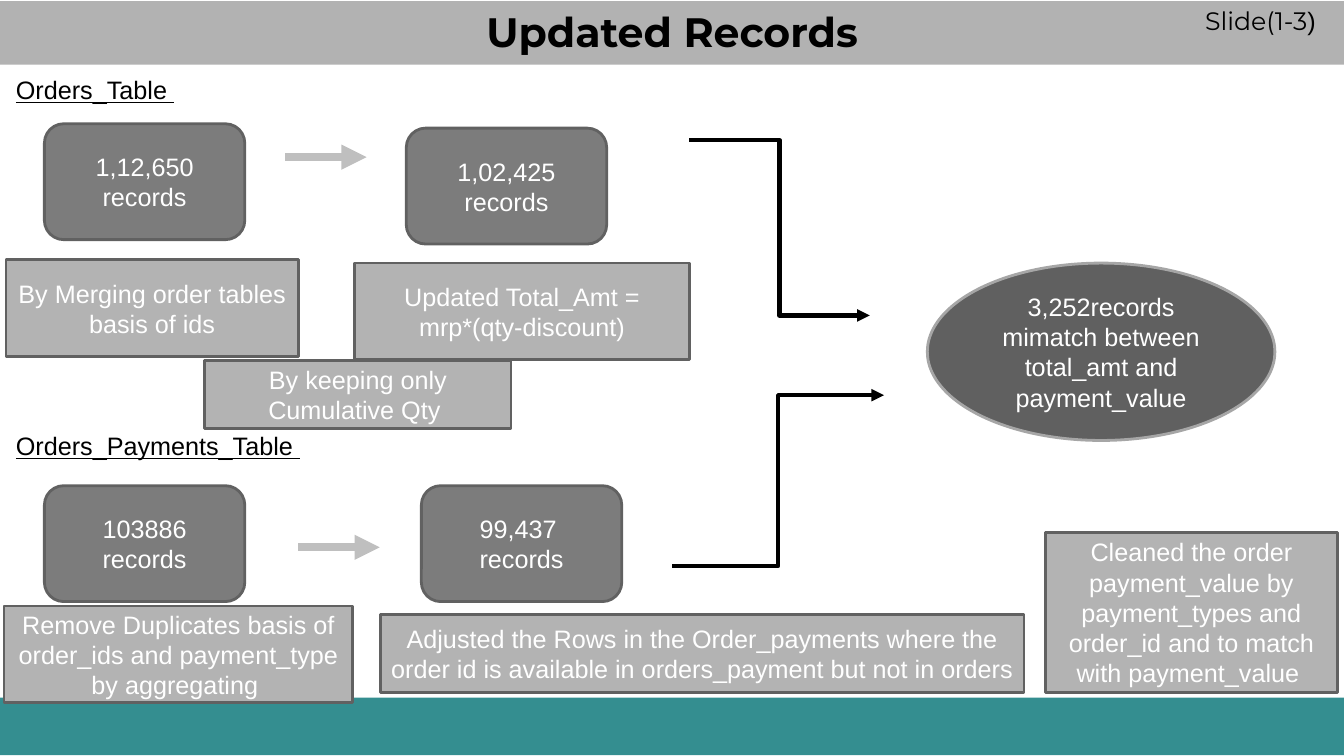
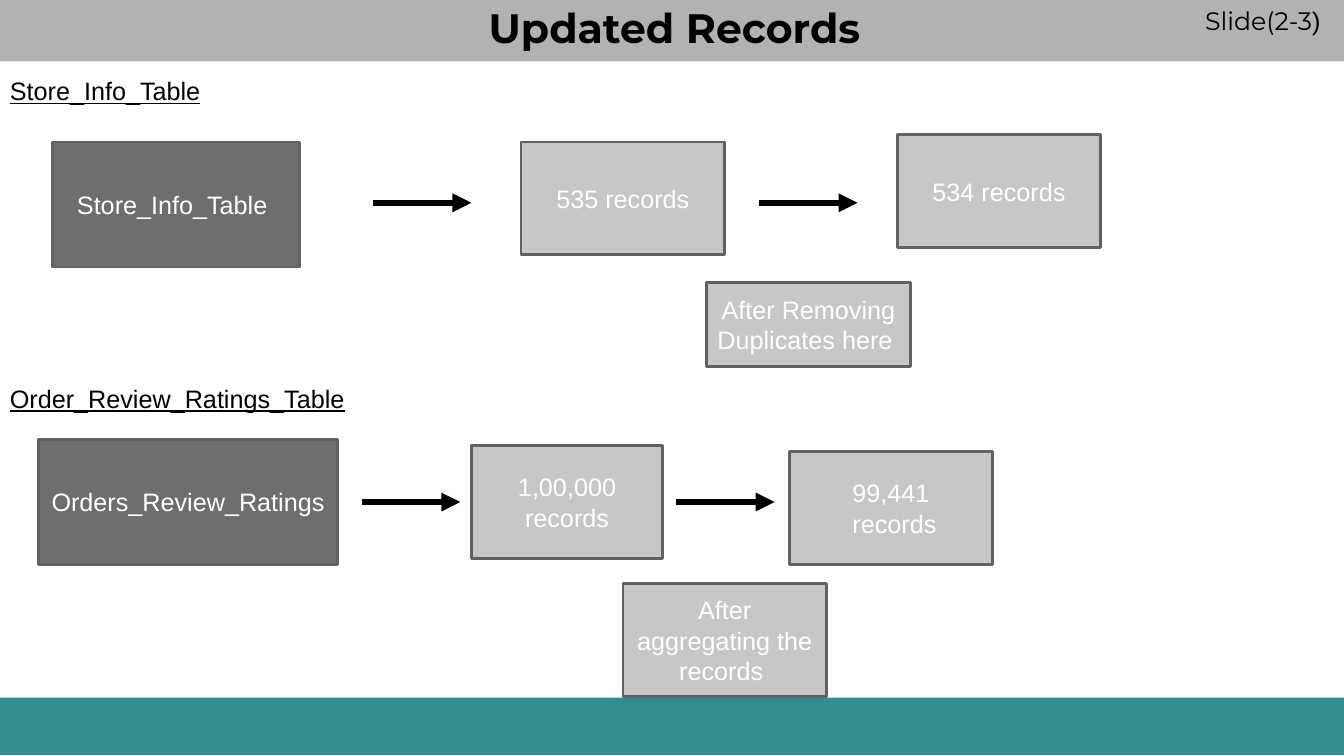
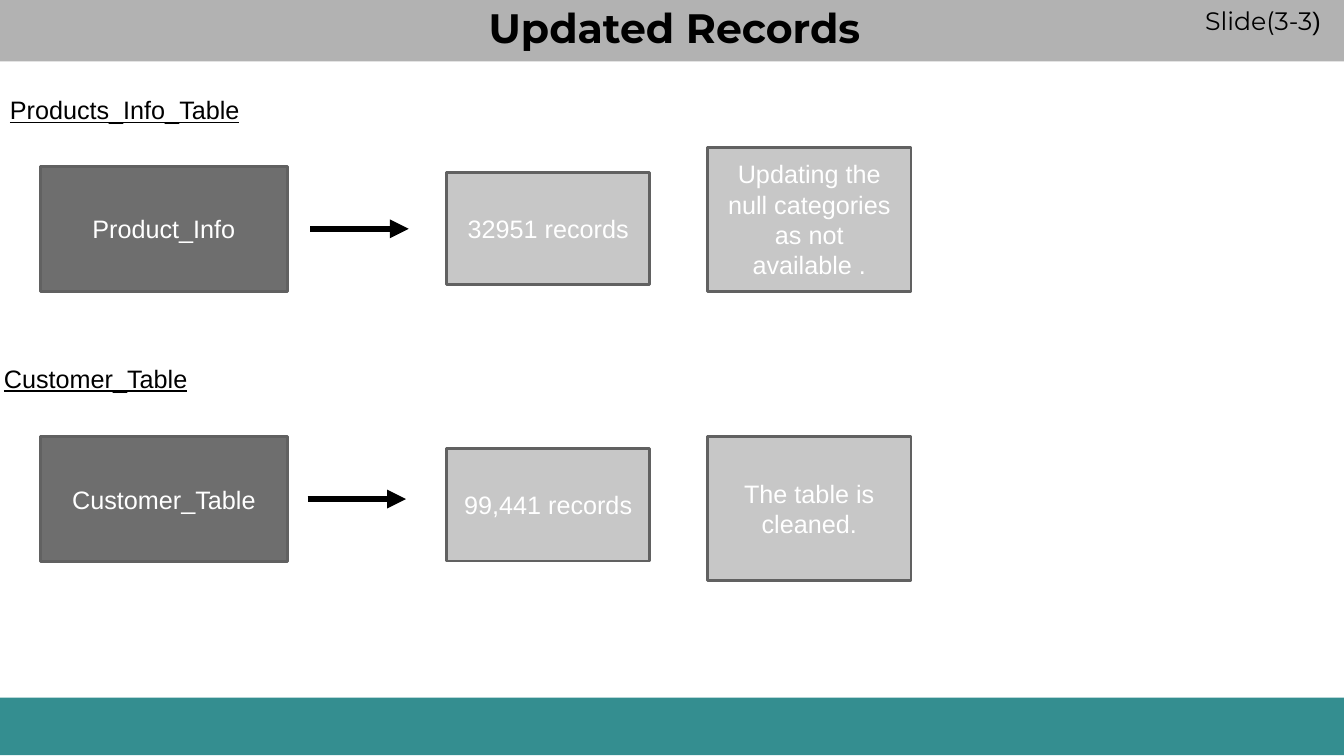
from lxml import etree
from pptx import Presentation
from pptx.dml.color import RGBColor
from pptx.enum.shapes import MSO_CONNECTOR, MSO_SHAPE
from pptx.enum.text import MSO_ANCHOR, PP_ALIGN
from pptx.oxml.ns import qn
from pptx.util import Cm, Pt

COLORS = {
    "band": "B2B2B2", "footer": "348E90", "ink": "000000", "white": "FFFFFF",
    "count": "7C7C7C", "note": "B3B3B3", "result": "606060",
    "source": "6E6E6E", "record": "C7C7C7",
    "edge": "616161", "result_edge": "A6A6A6", "pale_arrow": "BFBFBF",
}
BODY_FONT, TITLE_FONT = "Arial", "Montserrat"
BODY_SIZE, TITLE_SIZE = 18, 29.3
WIDTH, HEIGHT = 33.87, 19.05
COUNT_SIZE = (5.05, 2.92)
SOURCE_SIZE = (6.22, 3.15)
RECORD_SIZE = (5.13, 2.84)
REMARK_SIZE = (5.13, 3.63)
ARROW_LENGTH = 2.48


class RecordsDeck:
    """Holds the shared style and the current page, and draws each kind of element."""

    def __init__(self):
        self.deck = Presentation()
        self.deck.slide_width, self.deck.slide_height = Cm(WIDTH), Cm(HEIGHT)
        self.page = None

    def add_page(self, number, band_top, band_width):
        self.page = self.deck.slides.add_slide(self.deck.slide_layouts[6])
        self.shape(MSO_SHAPE.RECTANGLE, (0, 17.58), (WIDTH, 1.45), "footer")
        band = self.shape(MSO_SHAPE.RECTANGLE, (0, band_top), (band_width, 1.6), "band")
        band.text_frame.vertical_anchor = MSO_ANCHOR.TOP
        para = band.text_frame.paragraphs[0]
        para.alignment = PP_ALIGN.CENTER
        self.span(para, "Updated Records", "ink", TITLE_SIZE, TITLE_FONT, bold=True)
        para = self.text_box((30.12, 0), 3.75)
        self.span(para, f"Slide({number}-3", "ink", font=TITLE_FONT)
        self.span(para, ")", "ink")

    def span(self, para, text, color, size=BODY_SIZE, font=BODY_FONT, bold=False, underline=False):
        span = para.add_run()
        span.text = text
        span.font.name, span.font.size = font, Pt(size)
        span.font.bold, span.font.underline = bold, underline
        span.font.color.rgb = RGBColor.from_string(COLORS[color])

    def shape(self, preset, place, size, fill, edge=None):
        box = self.page.shapes.add_shape(preset, *map(Cm, place + size))
        box.shadow.inherit = False
        box.fill.solid()
        box.fill.fore_color.rgb = RGBColor.from_string(COLORS[fill])
        if edge:
            box.line.color.rgb = RGBColor.from_string(COLORS[edge])
            box.line.width = Pt(2)
        else:
            box.line.fill.background()
        return box

    def box(self, kind, place, size, *lines):
        presets = {"count": MSO_SHAPE.ROUNDED_RECTANGLE, "result": MSO_SHAPE.OVAL}
        edge = "result_edge" if kind == "result" else "edge"
        box = self.shape(presets.get(kind, MSO_SHAPE.RECTANGLE), place, size, kind, edge)
        frame = box.text_frame
        frame.word_wrap = True
        frame.vertical_anchor = MSO_ANCHOR.MIDDLE
        for index, line in enumerate(lines):
            para = frame.add_paragraph() if index else frame.paragraphs[0]
            para.alignment = PP_ALIGN.CENTER
            self.span(para, line, "white")

    def text_box(self, place, width):
        box = self.page.shapes.add_textbox(*map(Cm, place + (width, 1.02)))
        box.text_frame.word_wrap = True
        return box.text_frame.paragraphs[0]

    def heading(self, text, place, width=8.08):
        self.span(self.text_box(place, width), text, "ink", underline=True)

    def connector(self, start, end, color="ink", weight=4.5, kind=MSO_CONNECTOR.STRAIGHT):
        line = self.page.shapes.add_connector(kind, *map(Cm, start + end))
        line.line.color.rgb = RGBColor.from_string(COLORS[color])
        line.line.width = Pt(weight)
        etree.SubElement(line.line._get_or_add_ln(), qn("a:tailEnd"), type="triangle")
        etree.SubElement(line._element.spPr, qn("a:effectLst"))

    def arrow(self, left, top, length=ARROW_LENGTH, **style):
        self.connector((left, top), (left + length, top), **style)


def orders_page(deck):
    deck.add_page(1, 0.03, WIDTH)
    deck.heading("Orders_Table ", (0.15, 1.75))
    deck.heading("Orders_Payments_Table ", (0.15, 10.72), 8.18)
    for place, lines in (
        ((1.12, 3.12), ["1,12,650 records"]),
        ((10.24, 3.23), ["1,02,425", "records"]),
        ((1.12, 12.24), ["103886 records"]),
        ((10.62, 12.24), ["99,437 ", "records"]),
    ):
        deck.box("count", place, COUNT_SIZE, *lines)
    for left, top in ((7.19, 3.96), (7.52, 13.79)):
        deck.arrow(left, top, 2.05, color="pale_arrow", weight=6)
    for place, size, text in (
        ((0.15, 6.55), (7.37, 2.44), "By Merging order tables basis of ids"),
        ((8.94, 6.63), (8.43, 2.44), "Updated Total_Amt = mrp*(qty-discount)"),
        ((5.16, 9.09), (7.72, 1.7), "By keeping only Cumulative Qty "),
        ((0.1, 15.27), (8.79, 2.44),
         "Remove Duplicates basis of order_ids and payment_type by aggregating "),
        ((9.58, 15.49), (16.23, 1.96),
         "Adjusted the Rows in the Order_payments where the order id is available "
         "in orders_payment but not in orders"),
        ((26.34, 13.41), (7.37, 4.04),
         "Cleaned the order payment_value by payment_types and order_id "
         "and to match with payment_value "),
    ):
        deck.box("note", place, size, text)
    for start, end in (((17.37, 3.53), (21.92, 7.95)), ((16.94, 14.27), (22.28, 9.96))):
        deck.connector(start, end, weight=3, kind=MSO_CONNECTOR.ELBOW)
    deck.box("result", (23.37, 6.63), (8.76, 4.47),
             "3,252records mimatch between total_amt and payment_value")


def stores_page(deck):
    deck.add_page(2, -0.05, 33.99)
    deck.heading("Store_Info_Table", (0, 1.78))
    deck.heading("Order_Review_Ratings_Table", (0, 9.53), 9.47)
    deck.box("source", (1.32, 3.58), SOURCE_SIZE, "Store_Info_Table ")
    deck.box("source", (0.97, 11.07), (7.54, 3.15), "Orders_Review_Ratings ")
    for left, top in ((9.4, 5.11), (19.13, 5.11), (9.12, 12.65), (17.04, 12.65)):
        deck.arrow(left, top)
    for place, size, lines in (
        ((13.13, 3.58), RECORD_SIZE, ["535 records"]),
        ((22.61, 3.4), RECORD_SIZE, ["534 records"]),
        ((17.81, 7.11), (5.13, 2.13), ["After Removing Duplicates here "]),
        ((11.89, 11.23), (4.8, 2.84), ["1,00,000 records"]),
        ((19.89, 11.38), RECORD_SIZE, ["99,441", " records"]),
        ((15.7, 14.71), RECORD_SIZE, ["After aggregating the records "]),
    ):
        deck.box("record", place, size, *lines)


def products_page(deck):
    deck.add_page(3, -0.05, 33.99)
    deck.heading("Products_Info_Table", (0, 2.26))
    deck.heading("Customer_Table", (-0.15, 9.02))
    for source, source_top, arrow_left, count, count_top, remark, remark_top in (
        ("Product_Info", 4.19, 7.82, "32951 records", 4.34,
         "Updating the null categories as not available .", 3.71),
        ("Customer_Table", 11, 7.75, "99,441 records", 11.3, "The table is cleaned.", 11),
    ):
        deck.box("source", (1.02, source_top), SOURCE_SIZE, source)
        deck.arrow(arrow_left, source_top + SOURCE_SIZE[1] / 2)
        deck.box("record", (11.25, count_top), RECORD_SIZE, count)
        deck.box("record", (17.83, remark_top), REMARK_SIZE, remark)


def main():
    deck = RecordsDeck()
    orders_page(deck)
    stores_page(deck)
    products_page(deck)
    deck.deck.save("out.pptx")


if __name__ == "__main__":
    main()
